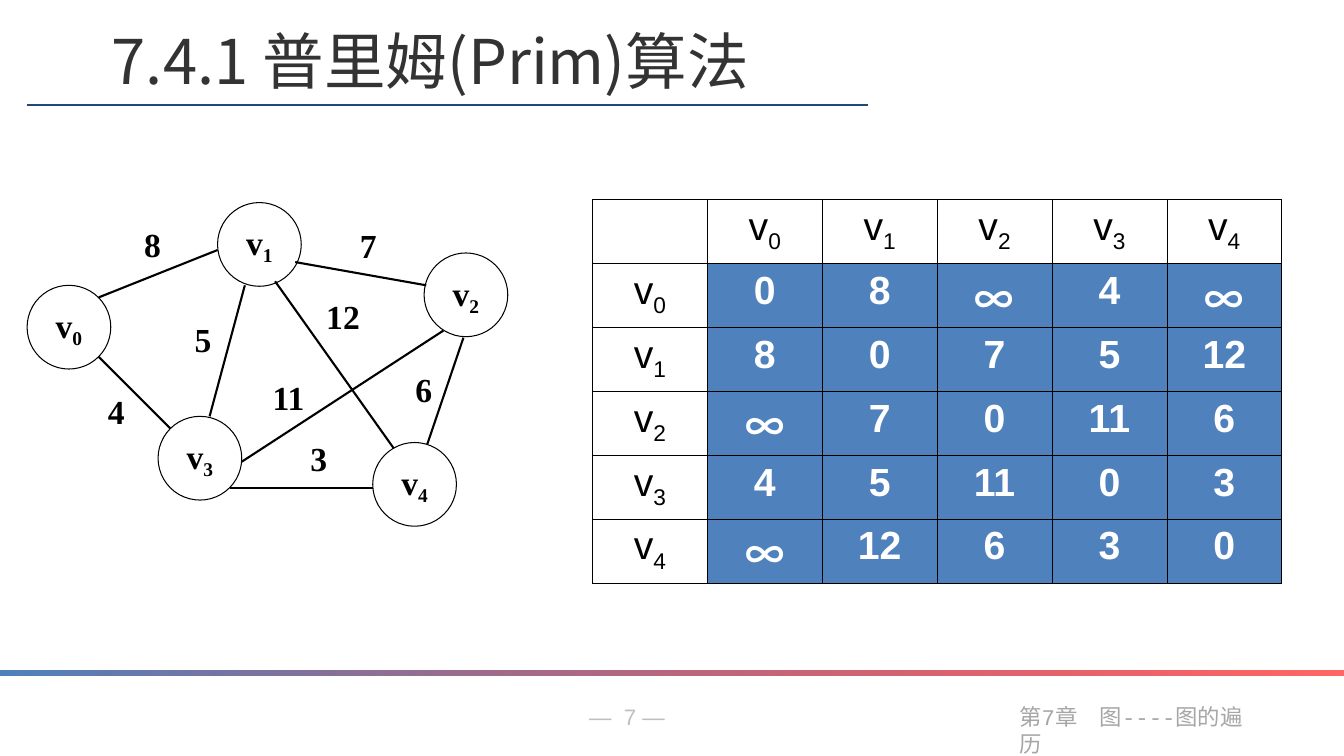
from lxml.etree import SubElement
from pptx import Presentation
from pptx.dml.color import RGBColor
from pptx.enum.shapes import MSO_CONNECTOR, MSO_SHAPE
from pptx.enum.text import MSO_ANCHOR, MSO_AUTO_SIZE, PP_ALIGN
from pptx.oxml.ns import qn
from pptx.util import Pt

COLORS = {
    "black": "000000", "white": "FFFFFF", "title": "333333", "rule": "1F497D",
    "blue": "4F81BD", "red": "FF0000", "page": "BFBFBF", "chapter": "A6A6A6",
}
CJK = "Noto Sans CJK SC"
SERIF = "Times New Roman"
SANS = "Arial"

NODE_SIZE = 59.8
LABEL_SIZE = 42.5
NODES = [(19.4, 203.8), (155.5, 144.7), (303.1, 180.7), (113, 297.4), (266.4, 316.1)]
EDGES = {
    (0, 3): (4, (61.9, 272.2), (70.6, 254.9), (121.7, 306)),
    (0, 1): (8, (87.8, 153.4), (70.6, 212.4), (155.5, 178.6)),
    (1, 3): (5, (123.8, 221), (175, 203.8), (149.8, 297.4)),
    (1, 2): (7, (241.9, 154.1), (211, 187.2), (304.6, 203.8)),
    (1, 4): (12, (223.9, 204.5), (196.6, 200.9), (281.5, 320.4)),
    (2, 3): (11, (185, 262.1), (172.8, 329.8), (316.8, 236.2)),
    (3, 4): (3, (206.6, 306), (164.2, 348.5), (266.4, 348.5)),
    (2, 4): (6, (281.5, 256.3), (331.2, 241.2), (305.3, 317.5)),
}


def color(name):
    return RGBColor.from_string(COLORS[name])


def set_text(paragraph, text, font, size, color_name, bold=False,
             align=PP_ALIGN.LEFT, subscript=None, baseline=0):
    paragraph.add_run().text = text
    if subscript is not None:
        run = paragraph.add_run()
        run.text = str(subscript)
        run._r.get_or_add_rPr().set("baseline", str(baseline * 1000))
    paragraph.alignment = align
    paragraph.font.name = font
    paragraph.font.size = Pt(size)
    paragraph.font.bold = bold
    paragraph.font.color.rgb = color(color_name)
    properties = paragraph._p.find(f"{qn('a:pPr')}/{qn('a:defRPr')}")
    SubElement(properties, qn("a:ea")).set("typeface", CJK)


def add_title(slide, text):
    title = slide.shapes.title
    title.left, title.top, title.width, title.height = Pt(72.7), Pt(12.2), Pt(539.3), Pt(60.5)
    frame = title.text_frame
    frame.auto_size = MSO_AUTO_SIZE.NONE
    frame.vertical_anchor = MSO_ANCHOR.MIDDLE
    set_text(frame.paragraphs[0], text, CJK, 44, "title")


def add_line(slide, start, end, color_name, width):
    line = slide.shapes.add_connector(
        MSO_CONNECTOR.STRAIGHT, *[Pt(value) for value in (*start, *end)])
    line.line.color.rgb = color(color_name)
    line.line.width = Pt(width)
    SubElement(line._element.spPr, qn("a:effectLst"))


def add_footer(slide, text, left, width, font, color_name):
    box = slide.shapes.add_textbox(Pt(left), Pt(499), Pt(width), Pt(26.6))
    box.text_frame.word_wrap = True
    set_text(box.text_frame.paragraphs[0], text, font, 16, color_name)


def add_gradient_bar(slide):
    bar = slide.shapes.add_shape(MSO_SHAPE.RECTANGLE, 0, Pt(478.8), Pt(960.48), Pt(3.9))
    bar.shadow.inherit = False
    bar.line.fill.background()
    bar.fill.gradient()
    bar.fill.gradient_angle = 0
    for stop, name in zip(bar.fill.gradient_stops, ("blue", "red")):
        stop.color.rgb = color(name)
    last_color = bar._element.spPr.findall(f".//{qn('a:srgbClr')}")[-1]
    SubElement(last_color, qn("a:alpha")).set("val", "60000")


def add_graph_text(shape, text, subscript=None):
    frame = shape.text_frame
    frame.word_wrap = False
    frame.vertical_anchor = MSO_ANCHOR.MIDDLE
    set_text(frame.paragraphs[0], text, SERIF, 24, "black", True,
             PP_ALIGN.CENTER, subscript, -20)


def add_node(slide, index, position):
    left, top = position
    node = slide.shapes.add_shape(
        MSO_SHAPE.OVAL, Pt(left), Pt(top), Pt(NODE_SIZE), Pt(NODE_SIZE))
    node.shadow.inherit = False
    node.fill.background()
    node.line.color.rgb = color("black")
    node.line.width = Pt(0.75)
    add_graph_text(node, "v", index)


def add_edge(slide, weight, label_position, start, end):
    left, top = label_position
    label = slide.shapes.add_textbox(Pt(left), Pt(top), Pt(LABEL_SIZE), Pt(LABEL_SIZE))
    add_graph_text(label, str(weight))
    add_line(slide, start, end, "black", 1.5)


def set_borders(cell, row, column, last):
    outer = {"lnL": column == 0, "lnR": column == last, "lnT": row == 0, "lnB": row == last}
    for side, is_outer in outer.items():
        border = SubElement(cell._tc.get_or_add_tcPr(), qn(f"a:{side}"))
        border.set("w", str(Pt(1.08 if is_outer else 0.45)))
        fill = SubElement(border, qn("a:solidFill"))
        SubElement(fill, qn("a:srgbClr")).set("val", COLORS["black"])


def edge_weight(first, second):
    if first == second:
        return "0"
    edge = EDGES.get((min(first, second), max(first, second)))
    return str(edge[0]) if edge else "∞"


def fill_cell(cell, row, column):
    paragraph = cell.text_frame.paragraphs[0]
    if row and column:
        cell.fill.solid()
        cell.fill.fore_color.rgb = color("blue")
        weight = edge_weight(row - 1, column - 1)
        font = CJK if weight == "∞" else SANS
        set_text(paragraph, weight, font, 28, "white", True, PP_ALIGN.CENTER)
        return
    cell.fill.background()
    if row or column:
        set_text(paragraph, "v", SANS, 28, "black", False, PP_ALIGN.CENTER,
                 row + column - 1, -25)


def add_matrix(slide):
    size = len(NODES) + 1
    column_width, row_height = 82.1, 45.7
    table = slide.shapes.add_table(
        size, size, Pt(423.4), Pt(142.6), Pt(column_width * size), Pt(row_height * size)).table
    table.first_row = False
    table.horz_banding = False
    for column in table.columns:
        column.width = Pt(column_width)
    for row_index, row in enumerate(table.rows):
        row.height = Pt(row_height)
        for column_index, cell in enumerate(row.cells):
            cell.margin_bottom = 0
            set_borders(cell, row_index, column_index, size - 1)
            fill_cell(cell, row_index, column_index)


def main():
    presentation = Presentation()
    presentation.slide_width = Pt(960.48)
    presentation.slide_height = Pt(540)
    slide = presentation.slides.add_slide(presentation.slide_layouts[5])
    add_footer(slide, "—  7 —", 414, 136.8, SANS, "page")
    add_footer(slide, "第7章　图----图的遍历", 721.4, 187.2, "Courier New", "chapter")
    add_line(slide, (19.4, 74.9), (620.6, 74.9), "rule", 1)
    add_gradient_bar(slide)
    add_title(slide, "7.4.1 普里姆(Prim)算法")
    for index, position in enumerate(NODES):
        add_node(slide, index, position)
    for edge in EDGES.values():
        add_edge(slide, *edge)
    add_matrix(slide)
    presentation.save("out.pptx")


if __name__ == "__main__":
    main()
